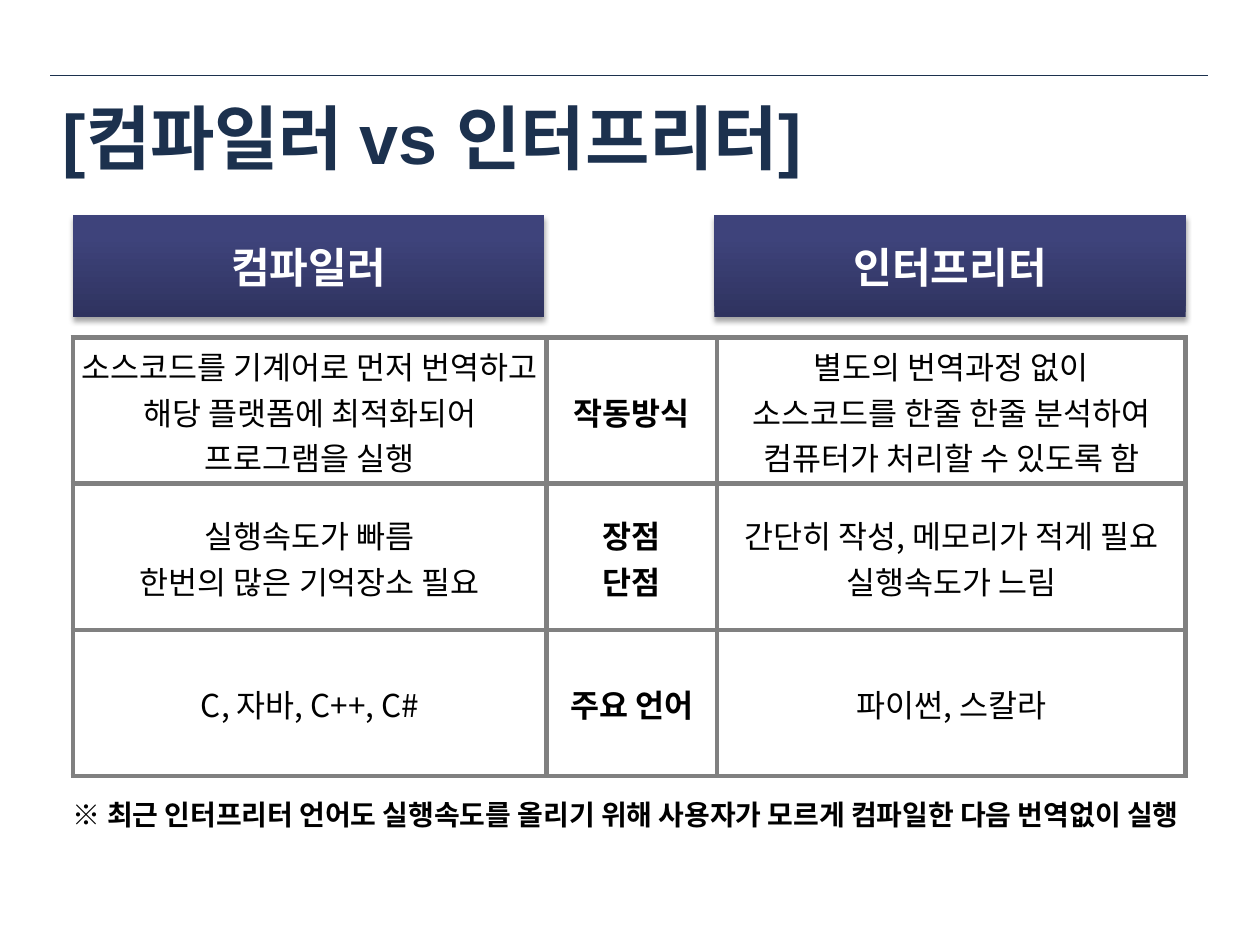
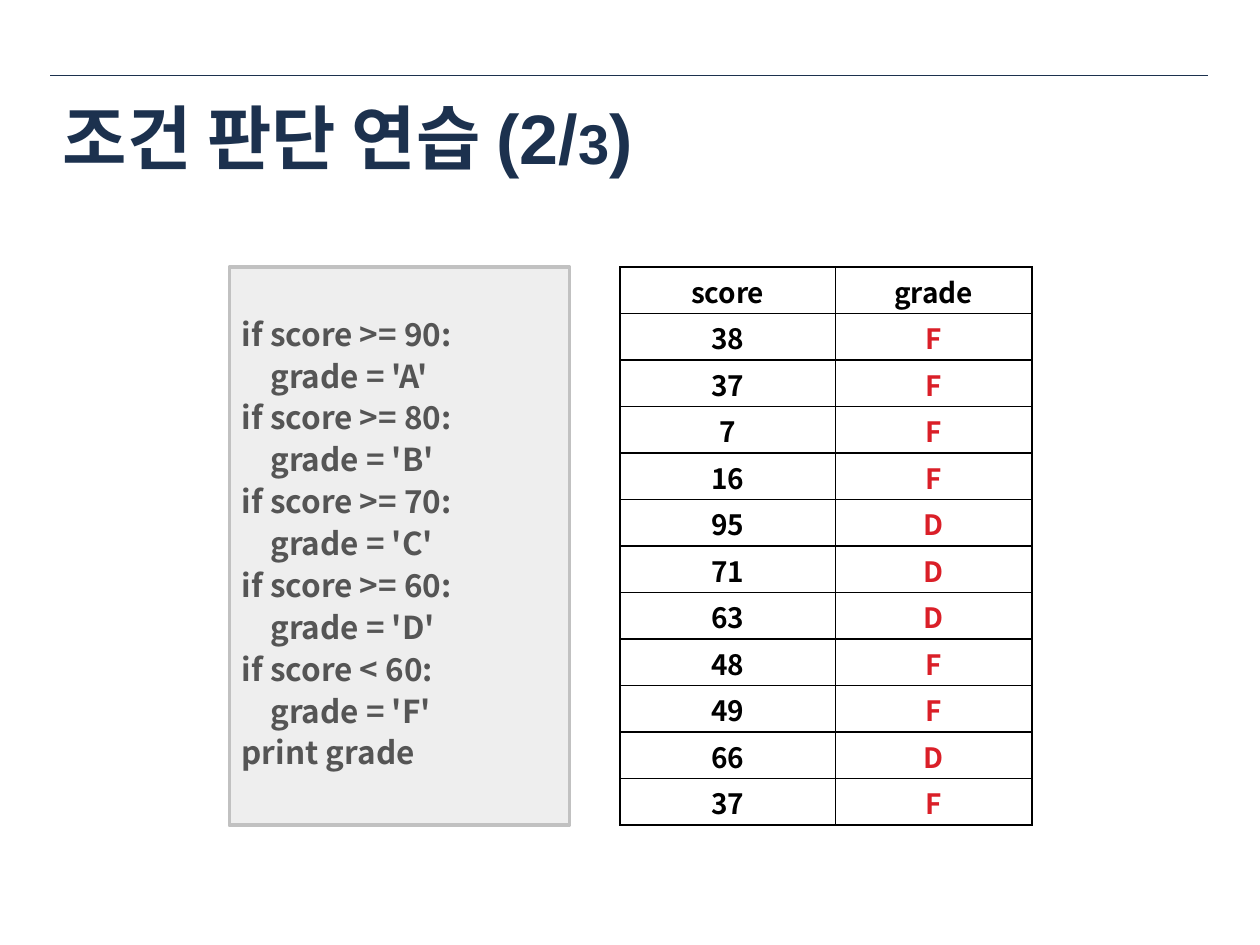
from collections import namedtuple

from lxml.etree import SubElement
from pptx import Presentation
from pptx.dml.color import RGBColor
from pptx.enum.shapes import MSO_CONNECTOR, MSO_SHAPE
from pptx.enum.text import MSO_ANCHOR, PP_ALIGN
from pptx.oxml.ns import qn
from pptx.util import Inches, Pt

COLORS = {
    "navy": "1C314E", "white": "FFFFFF", "black": "000000", "red": "DA1F28",
    "grid": "808080", "code_fill": "EEEEEE", "code_line": "C1C1C1", "code_text": "555555",
    "head_dark": "2F335F", "head_mid": "3E437B", "head_top": "3D427D",
}
KOREAN = "Noto Sans CJK KR"
WIDTH, HEIGHT = Inches(10), Inches(7.5)
COLUMNS, ROWS = 100, 75

Box = namedtuple("Box", "x y w h")
Style = namedtuple("Style", "size color bold font", defaults=(False, KOREAN))

TITLE = Style(40, "navy", True, "Arial")
COMPARISON = [
    ("소스코드를 기계어로 먼저 번역하고\n해당 플랫폼에 최적화되어\n프로그램을 실행", "작동방식",
     "별도의 번역과정 없이\n소스코드를 한줄 한줄 분석하여\n컴퓨터가 처리할 수 있도록 함"),
    ("실행속도가 빠름\n한번의 많은 기억장소 필요", "장점\n단점",
     "간단히 작성, 메모리가 적게 필요\n실행속도가 느림"),
    ("C, 자바, C++, C#", "주요 언어", "파이썬, 스칼라"),
]
NOTE = "※ 최근 인터프리터 언어도 실행속도를 올리기 위해 사용자가 모르게 컴파일한 다음 번역없이 실행"
CODE = """if score >= 90:
    grade = 'A'
if score >= 80:
    grade = 'B'
if score >= 70:
    grade = 'C'
if score >= 60:
    grade = 'D'
if score < 60:
    grade = 'F'
print grade"""
GRADES = [
    ("score", "grade"), ("38", "F"), ("37", "F"), ("7", "F"), ("16", "F"), ("95", "D"),
    ("71", "D"), ("63", "D"), ("48", "F"), ("49", "F"), ("66", "D"), ("37", "F"),
]


def col(n):
    """Turn grid columns into a length."""
    return int(WIDTH * n / COLUMNS)


def row(n):
    """Turn grid rows into a length."""
    return int(HEIGHT * n / ROWS)


def place(box):
    """Give the left, top, width and height of a grid box."""
    return col(box.x), row(box.y), col(box.w), row(box.h)


def rgb(name):
    """Look up a colour."""
    return RGBColor.from_string(COLORS[name])


def add_color(parent, name):
    """Append a colour element and return it."""
    return SubElement(parent, qn("a:srgbClr"), val=COLORS[name])


def format_run(r, style):
    """Apply a style to a run, for Latin and Korean letters."""
    r.font.name, r.font.size, r.font.bold = style.font, Pt(style.size), style.bold
    r.font.color.rgb = rgb(style.color)
    SubElement(r.font._element, qn("a:ea"), typeface=KOREAN)


def fill_text(tf, text, style, align=PP_ALIGN.LEFT, after=0, spacing=None):
    """Write lines as paragraphs in one style."""
    tf.text = text
    for p in tf.paragraphs:
        p.alignment, p.space_after, p.line_spacing = align, Pt(after), spacing
        for r in p.runs:
            format_run(r, style)


def add_label(s, box, text, style, anchor=MSO_ANCHOR.TOP, after=0):
    """Add a wrapped text box and return its text frame."""
    tf = s.shapes.add_textbox(*place(box)).text_frame
    tf.word_wrap, tf.vertical_anchor = True, anchor
    fill_text(tf, text, style, after=after)
    return tf


def add_frame(prs, box, title):
    """Add a slide with the top rule and title, and return both slide and title."""
    s = prs.slides.add_slide(prs.slide_layouts[6])
    y = row(box.y - 0.2)
    rule = s.shapes.add_connector(MSO_CONNECTOR.STRAIGHT, col(box.x), y, col(box.x + box.w), y)
    rule.line.color.rgb, rule.line.width = rgb("navy"), Pt(0.25)
    SubElement(rule._element.spPr, qn("a:effectLst"))
    return s, add_label(s, box, title, TITLE, MSO_ANCHOR.MIDDLE)


def add_header(s, box, text):
    """Add a gradient heading block with a soft shadow."""
    sp = s.shapes.add_shape(MSO_SHAPE.ROUNDED_RECTANGLE, *place(box))
    sp.adjustments[0] = 0
    sp.fill.gradient()
    sp.fill.gradient_angle = 90
    stops = sp._element.spPr.find(".//" + qn("a:gsLst"))
    stops.clear()
    for share, name in ((0, "head_dark"), (80, "head_mid"), (100, "head_top")):
        add_color(SubElement(stops, qn("a:gs"), pos=str(share * 1000)), name)
    sp.line.fill.background()
    sp.shadow.inherit = False
    shadow = SubElement(sp._element.spPr.find(qn("a:effectLst")), qn("a:outerShdw"),
                        blurRad=str(Pt(3.1)), dist=str(Pt(1.8)), dir="5400000", rotWithShape="0")
    SubElement(add_color(shadow, "black"), qn("a:alpha"), val="35000")
    sp.text_frame.vertical_anchor = MSO_ANCHOR.MIDDLE
    fill_text(sp.text_frame, text, Style(24, "white", True), PP_ALIGN.CENTER)


def add_borders(cell, color, width):
    """Draw the four edges of a cell."""
    tc_pr = cell._tc.get_or_add_tcPr()
    for side in "LRTB":
        ln = SubElement(tc_pr, qn("a:ln" + side), w=str(Pt(width)))
        add_color(SubElement(ln, qn("a:solidFill")), color)


def add_grid(s, box, data, widths, border, style_at):
    """Add a plain centred table whose cell styles come from style_at(row, column)."""
    table = s.shapes.add_table(len(data), len(widths), *place(box)).table
    table.first_row = table.horz_banding = False
    for column, width in zip(table.columns, widths):
        column.width = col(width)
    for i, values in enumerate(data):
        table.rows[i].height = row(box.h / len(data))
        for j, value in enumerate(values):
            cell = table.cell(i, j)
            cell.margin_left = cell.margin_right = cell.margin_top = Inches(0.01)
            cell.margin_bottom = 0
            cell.vertical_anchor = MSO_ANCHOR.MIDDLE
            add_borders(cell, *border)
            cell.fill.background()
            fill_text(cell.text_frame, value, style_at(i, j), PP_ALIGN.CENTER)


def add_code(s, box, code):
    """Add a framed grey panel of code."""
    sp = s.shapes.add_shape(MSO_SHAPE.RECTANGLE, *place(box))
    sp.shadow.inherit = False
    sp.fill.solid()
    sp.fill.fore_color.rgb = rgb("code_fill")
    sp.line.color.rgb, sp.line.width = rgb("code_line"), Pt(2)
    sp.text_frame.vertical_anchor = MSO_ANCHOR.MIDDLE
    fill_text(sp.text_frame, code, Style(18, "code_text", True), after=6, spacing=0.83)


def add_comparison(s, box):
    """Place two headings, the comparison table and the note in a box."""
    head_w = 37.4
    for x, text in ((box.x, "컴파일러"), (box.x + box.w - head_w, "인터프리터")):
        add_header(s, Box(x, box.y, head_w, 8.1), text)
    add_grid(s, Box(box.x, box.y + 9.7, box.w, 34.8), COMPARISON, (37.6, 13.5, 37.2),
             ("grid", 3), lambda i, j: Style(18, "black", j == 1))
    add_label(s, Box(box.x - 1, box.y + 45.7, 95.2, 3.7), NOTE, Style(16, "black", True), after=6)


def add_exercise(s, box):
    """Place the code panel and the grade table side by side in a box."""
    table_w = 32.7
    add_code(s, Box(box.x, box.y, 27, box.h), CODE)
    add_grid(s, Box(box.x + box.w - table_w, box.y, table_w, box.h), GRADES, (17.1, 15.6),
             ("black", 1), lambda i, j: Style(16, "red" if i and j else "black", True))


def main():
    """Build both slides."""
    prs = Presentation()
    prs.slide_width, prs.slide_height = WIDTH, HEIGHT
    title_box = Box(4, 6.2, 91.9, 9.3)

    s, _ = add_frame(prs, title_box, "[컴파일러 vs 인터프리터]")
    add_comparison(s, Box(5.8, 17.1, 88.3, 49.4))

    s, tf = add_frame(prs, title_box, "조건 판단 연습 (2/")
    for text, size in (("3", 32), (")", 40)):
        r = tf.paragraphs[0].add_run()
        r.text = text
        format_run(r, TITLE._replace(size=size))
    add_exercise(s, Box(18.2, 21.2, 63.7, 44.3))

    prs.save("out.pptx")


if __name__ == "__main__":
    main()
